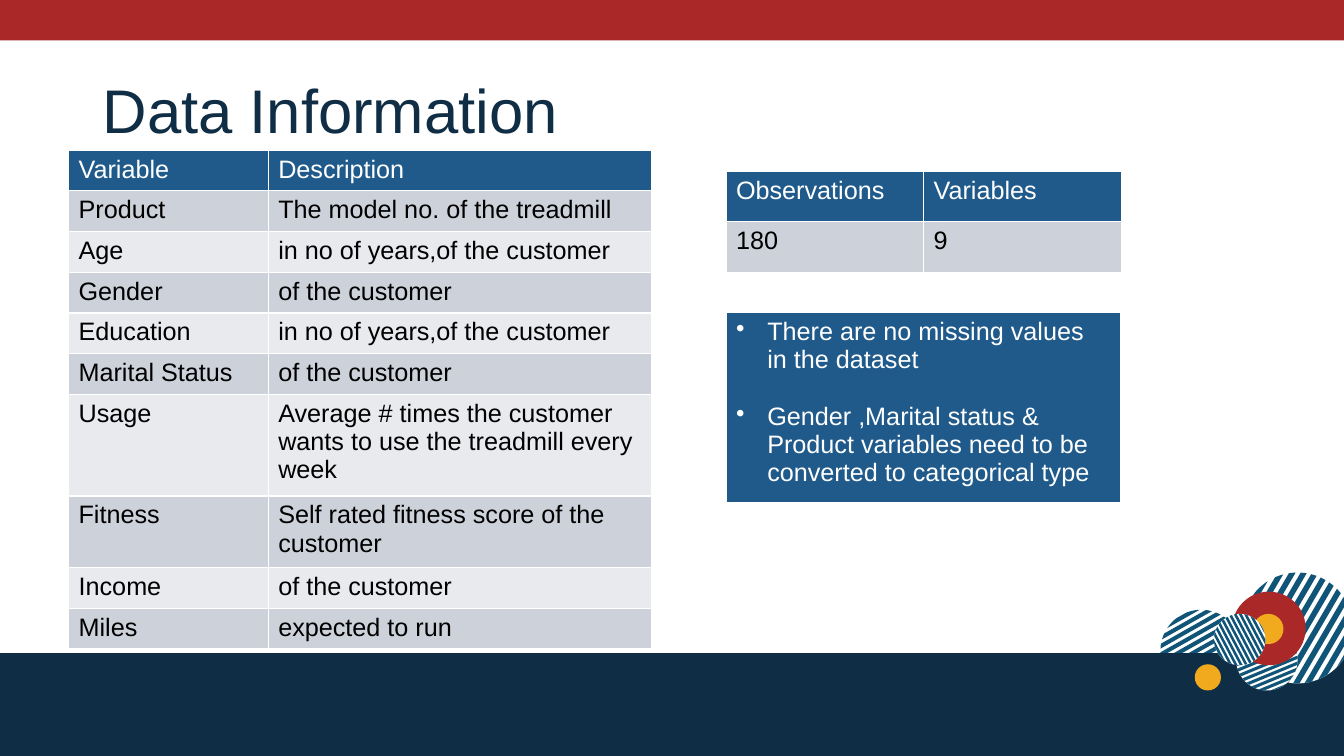
from math import acos, cos, pi, radians, sin

from lxml import etree
from pptx import Presentation
from pptx.dml.color import RGBColor
from pptx.enum.shapes import MSO_SHAPE
from pptx.enum.text import MSO_ANCHOR
from pptx.oxml.ns import qn
from pptx.util import Inches, Pt

RECT, OVAL = MSO_SHAPE.RECTANGLE, MSO_SHAPE.OVAL
MIDDLE = MSO_ANCHOR.MIDDLE

WHITE = RGBColor(0xFF, 0xFF, 0xFF)
BLACK = RGBColor(0, 0, 0)
NAVY = RGBColor(0x10, 0x2D, 0x46)
TEAL = RGBColor(0x10, 0x55, 0x78)
RED = RGBColor(0xAA, 0x29, 0x28)
GOLD = RGBColor(0xF1, 0xAA, 0x1E)
BLUE = RGBColor(0x1F, 0x5A, 0x8B)
BANDS = (RGBColor(0xCD, 0xD2, 0xDA), RGBColor(0xE8, 0xEA, 0xEE))

FONT = "Arial"
SHORT_ROW = (4.95 - 1.01 - 0.71) / 8
FIELDS = [
    ("Variable", "Description"),
    ("Product", "The model no. of the treadmill"),
    ("Age", "in no of years,of the customer"),
    ("Gender", "of the customer"),
    ("Education", "in no of years,of the customer"),
    ("Marital Status", "of the customer"),
    ("Usage", "Average # times the customer wants to use the treadmill every week"),
    ("Fitness", "Self rated fitness score of the customer"),
    ("Income", "of the customer"),
    ("Miles", "expected to run"),
]
COUNTS = [("Observations", "Variables"), ("180", "9")]
NOTES = ("There are no missing values in the dataset\n"
         "Gender ,Marital status & Product variables need to be "
         "converted to categorical type")


def paint(shape, color):
    shape.shadow.inherit = False
    shape.fill.solid()
    shape.fill.fore_color.rgb = color
    shape.line.fill.background()


def add_block(slide, kind, left, top, width, height, color):
    shape = slide.shapes.add_shape(
        kind, Inches(left), Inches(top), Inches(width), Inches(height))
    paint(shape, color)


def add_disc(slide, left, top, size, color):
    add_block(slide, OVAL, left, top, size, size, color)


def add_stripes(slide, left, top, size, angle):
    """Twelve parallel bands clipped to a circle."""
    radius, turn = size / 2, radians(angle)

    def point(theta):
        return (Inches(left + radius * (1 + cos(turn + theta))),
                Inches(top + radius * (1 + sin(turn + theta))))

    outline = None
    for band in range(-5, 7):
        start = max(-1, -0.1 + 0.178 * band)
        end = min(1, start + 0.1)
        # Follow one arc between the band's edges, then the arc facing it
        first, last = pi / 2 - acos(start), pi / 2 - acos(end)
        arc = [first + (last - first) * step / 6 for step in range(7)]
        points = [point(t) for t in arc + [pi - t for t in reversed(arc)]]
        if outline is None:
            outline = slide.shapes.build_freeform(*points[0], scale=1.0)
        else:
            outline.move_to(*points[0])
        outline.add_line_segments(points[1:], close=True)
    paint(outline.convert_to_shape(), TEAL)


def set_font(para, size, color):
    font = para.font
    font.name, font.size, font.bold = FONT, Pt(size), False
    font.color.rgb = color


def add_title(slide, text):
    box = slide.shapes.add_textbox(
        Inches(0.92), Inches(0.4), Inches(11.5), Inches(1.45))
    frame = box.text_frame
    frame.word_wrap = True
    frame.vertical_anchor = MIDDLE
    para = frame.paragraphs[0]
    para.text, para.line_spacing = text, 0.9
    set_font(para, 44, NAVY)


def add_borders(cell):
    props = cell._tc.get_or_add_tcPr()
    for side in ("a:lnL", "a:lnR", "a:lnT", "a:lnB"):
        line = etree.SubElement(props, qn(side), w=str(Pt(1)))
        fill = etree.SubElement(line, qn("a:solidFill"))
        etree.SubElement(fill, qn("a:srgbClr"), val=str(WHITE))


def add_grid(slide, left, top, widths, heights, rows):
    frame = slide.shapes.add_table(
        len(rows), len(widths), Inches(left), Inches(top),
        Inches(sum(widths)), Inches(sum(heights)))
    table = frame.table
    for col, width in zip(table.columns, widths):
        col.width = Inches(width)
    for row, height in zip(table.rows, heights):
        row.height = Inches(height)
    for r, texts in enumerate(rows):
        for c, text in enumerate(texts):
            cell = table.cell(r, c)
            cell.text = text
            add_borders(cell)
            cell.fill.solid()
            cell.fill.fore_color.rgb = BANDS[(r - 1) % 2] if r else BLUE
            for para in cell.text_frame.paragraphs:
                set_font(para, 18, BLACK if r else WHITE)
    return table


def add_bullets(cell):
    for i, para in enumerate(cell.text_frame.paragraphs):
        para.space_before = Pt(20.5 if i else 0)
        props = para._p.get_or_add_pPr()
        props.set("marL", str(Inches(0.31)))
        props.set("indent", str(Inches(-0.31)))
        bullet = etree.Element(qn("a:buChar"), char="•")
        props.find(qn("a:defRPr")).addprevious(bullet)


def add_decor(slide):
    # Striped disc half hidden by the footer band
    add_stripes(slide, 11.51, 6.05, 0.81, -29.5)
    add_block(slide, RECT, 0, 6.48, 13.33, 1.02, NAVY)
    # Disc cluster at lower right
    for left, top, size, angle in ((12.32, 5.68, 1.1, -59.7),
                                   (12.26, 6.24, 0.61, -22.5)):
        add_disc(slide, left, top, size, WHITE)
        add_stripes(slide, left, top, size, angle)
    add_disc(slide, 12.22, 5.87, 0.73, RED)
    add_disc(slide, 12.43, 6.09, 0.3, GOLD)
    add_disc(slide, 12.04, 6.09, 0.51, WHITE)
    add_stripes(slide, 12.04, 6.09, 0.51, -117.7)
    add_disc(slide, 11.85, 6.59, 0.26, GOLD)
    # Header band
    add_block(slide, RECT, 0, -0.01, 13.33, 0.41, RED)


def main():
    deck = Presentation()
    deck.slide_width, deck.slide_height = Inches(13.33), Inches(7.5)
    slide = deck.slides.add_slide(deck.slide_layouts[6])
    add_decor(slide)
    add_title(slide, "Data Information")
    # Variables, counts and remarks
    heights = [SHORT_ROW] * 6 + [1.01, 0.71] + [SHORT_ROW] * 2
    add_grid(slide, 0.68, 1.49, [1.98, 3.8], heights, FIELDS)
    add_grid(slide, 7.2, 1.7, [1.96] * 2, [0.5] * 2, COUNTS)
    notes = add_grid(slide, 7.2, 3.1, [3.91], [1.77], [(NOTES,)])
    add_bullets(notes.cell(0, 0))
    deck.save("out.pptx")


main()
